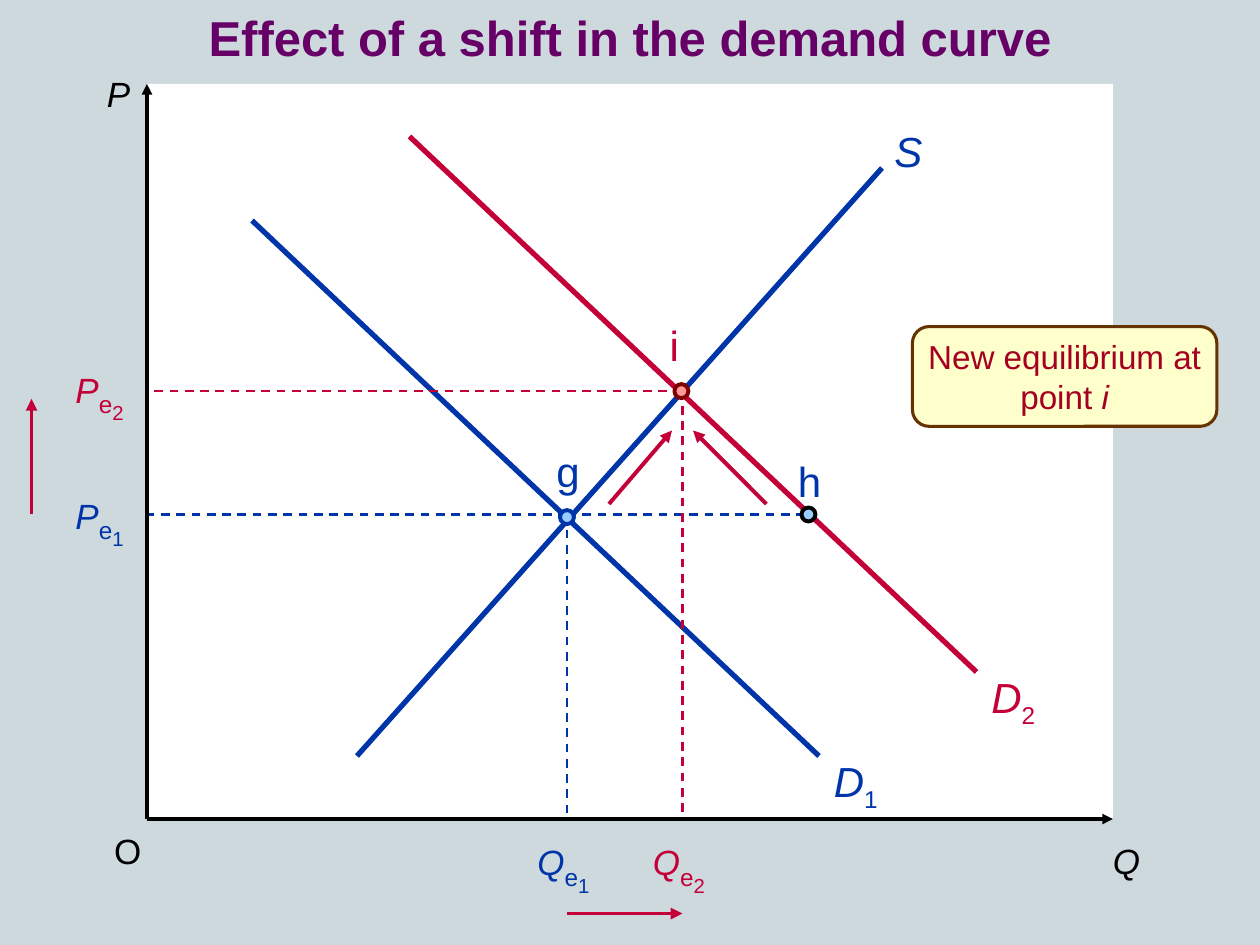
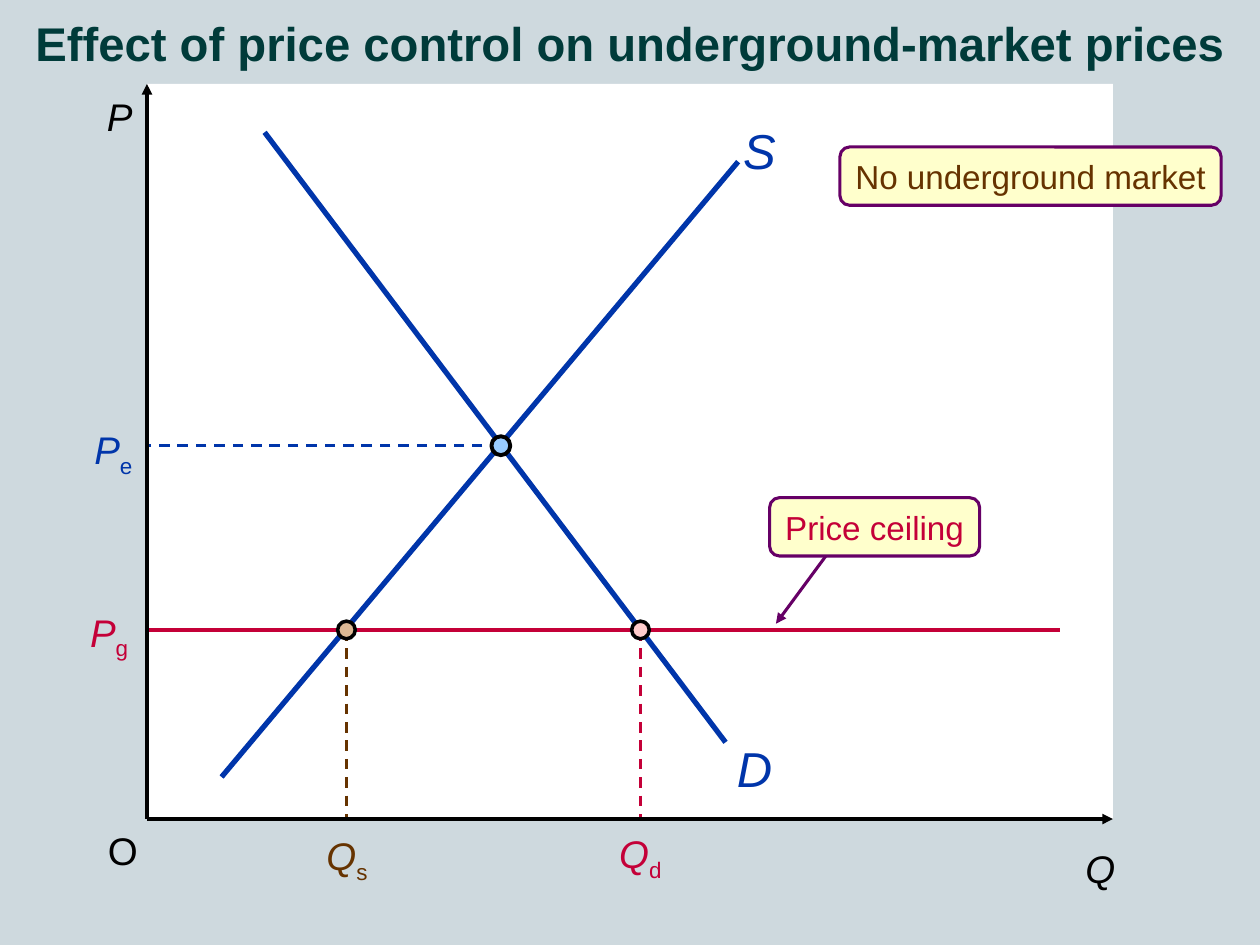
from dataclasses import dataclass

from lxml import etree
from pptx import Presentation
from pptx.dml.color import RGBColor
from pptx.enum.dml import MSO_LINE
from pptx.enum.shapes import MSO_CONNECTOR, MSO_SHAPE
from pptx.enum.text import MSO_ANCHOR, PP_ALIGN
from pptx.oxml.ns import qn
from pptx.util import Inches, Pt

STRAIGHT = MSO_CONNECTOR.STRAIGHT
RECTANGLE, OVAL = MSO_SHAPE.RECTANGLE, MSO_SHAPE.OVAL
ROUNDED, ALTERNATE = MSO_SHAPE.ROUNDED_RECTANGLE, MSO_SHAPE.FLOWCHART_ALTERNATE_PROCESS
DASH = MSO_LINE.DASH
CENTER, LEFT = PP_ALIGN.CENTER, PP_ALIGN.LEFT
TOP, MIDDLE = MSO_ANCHOR.TOP, MSO_ANCHOR.MIDDLE

WIDTH, HEIGHT = Inches(10), Inches(7.5)
COLUMNS, ROWS = 120, 90
FONT = "Arial"
AXIS_LEFT, AXIS_RIGHT, AXIS_TOP, AXIS_BOTTOM = 14, 106, 8, 78
TITLE_ONLY = 5

COLORS = {
    "background": "CED9DE",
    "plot": "FFFFFF",
    "black": "000000",
    "blue": "0035AA",
    "red": "C40038",
    "brown": "663300",
    "purple": "660066",
    "teal": "003B3A",
    "crimson": "A50021",
    "maroon": "800000",
    "cream": "FFFFCC",
    "sky": "99CCFF",
    "salmon": "FF9999",
    "pink": "FFCCCC",
    "tan": "DCB894",
}


@dataclass(frozen=True)
class Line:
    start: tuple[float, float]
    end: tuple[float, float]
    color: str
    width: float = 3
    dashed: bool = False
    arrow: bool = False


@dataclass(frozen=True)
class Label:
    symbols: tuple[str, ...]
    area: tuple[float, float, float, float]
    color: str
    sizes: tuple[float, ...]
    italic: bool = True
    wrap: bool = False
    align: PP_ALIGN = LEFT


@dataclass(frozen=True)
class Dot:
    center: tuple[float, float]
    diameter: float
    fill: str
    outline: str
    width: float = 2.25


@dataclass(frozen=True)
class Callout:
    text: str
    area: tuple[float, float, float, float]
    outline: str
    color: str
    emphasis: str = ""
    shape: MSO_SHAPE = ROUNDED
    insets: tuple[float, float] = (0.1, 0.05)
    wrap: bool = False


@dataclass(frozen=True)
class Diagram:
    title: str
    title_area: tuple[float, float, float, float]
    title_color: str
    title_size: float
    lines: list[Line]
    labels: list[Label]
    dots: list[Dot]
    callouts: list[Callout]


def rgb(name: str) -> RGBColor:
    return RGBColor.from_string(COLORS[name])


def across(columns: float) -> int:
    return round(WIDTH * columns / COLUMNS)


def down(rows: float) -> int:
    return round(HEIGHT * rows / ROWS)


def place(area: tuple[float, float, float, float]) -> tuple[int, int, int, int]:
    left, top, width, height = area
    return across(left), down(top), across(width), down(height)


def apply(target, values: dict) -> None:
    for name, value in values.items():
        setattr(target, name, value)


def set_frame(frame, wrap: bool, anchor, insets: tuple[float, float] = (0.1, 0.05)) -> None:
    side, edge = map(Inches, insets)
    apply(frame, {
        "word_wrap": wrap, "vertical_anchor": anchor,
        "margin_left": side, "margin_right": side,
        "margin_top": edge, "margin_bottom": edge,
    })


def add_span(para, text: str, size: float, color: str, bold: bool = False,
             italic: bool = False, baseline: int = 0):
    span = para.add_run()
    span.text = text
    apply(span.font, {"name": FONT, "size": Pt(size), "bold": bold, "italic": italic})
    span.font.color.rgb = rgb(color)
    properties = span._r.get_or_add_rPr()
    if baseline:
        properties.set("baseline", str(baseline * 1000))
    return properties


def add_line(page, line: Line) -> None:
    connector = page.shapes.add_connector(
        STRAIGHT, across(line.start[0]), down(line.start[1]),
        across(line.end[0]), down(line.end[1]))
    connector.line.color.rgb = rgb(line.color)
    connector.line.width = Pt(line.width)
    if line.dashed:
        connector.line.dash_style = DASH
    if line.arrow:
        etree.SubElement(connector.get_or_add_ln(), qn("a:tailEnd"), type="triangle")
    etree.SubElement(connector._element.spPr, qn("a:effectLst"))


def add_figure(page, kind, area: tuple[float, float, float, float], fill: str,
               outline: str = "", width: float = 0):
    figure = page.shapes.add_shape(kind, *place(area))
    figure.shadow.inherit = False
    figure.fill.solid()
    figure.fill.fore_color.rgb = rgb(fill)
    if outline:
        figure.line.color.rgb = rgb(outline)
        figure.line.width = Pt(width)
    else:
        figure.line.fill.background()
    return figure


def add_dot(page, dot: Dot) -> None:
    column, row = dot.center
    radius = dot.diameter / 2
    area = (column - radius, row - radius, dot.diameter, dot.diameter)
    add_figure(page, OVAL, area, dot.fill, dot.outline, dot.width)


def add_label(page, label: Label) -> None:
    box = page.shapes.add_textbox(*place(label.area))
    set_frame(box.text_frame, label.wrap, TOP)
    para = box.text_frame.paragraphs[0]
    para.alignment = label.align
    for level, (text, size) in enumerate(zip(label.symbols, label.sizes)):
        add_span(para, text, size, label.color,
                 italic=label.italic and level == 0, baseline=-25 * level)


def add_callout(page, callout: Callout) -> None:
    box = add_figure(page, callout.shape, callout.area, "cream", callout.outline, 1.75)
    set_frame(box.text_frame, callout.wrap, MIDDLE, callout.insets)
    para = box.text_frame.paragraphs[0]
    para.alignment = CENTER
    add_span(para, callout.text, 19, callout.color)
    if callout.emphasis:
        add_span(para, callout.emphasis, 19, callout.color, italic=True)


def add_title(page, diagram: Diagram) -> None:
    title = page.shapes.title
    left, top, width, height = place(diagram.title_area)
    apply(title, {"left": left, "top": top, "width": width, "height": height})
    set_frame(title.text_frame, True, TOP)
    para = title.text_frame.paragraphs[0]
    para.alignment = CENTER
    properties = add_span(para, diagram.title, diagram.title_size, diagram.title_color, bold=True)
    effects = etree.Element(qn("a:effectLst"))
    shadow = etree.SubElement(effects, qn("a:outerShdw"), dist="35921", dir="2700000")
    etree.SubElement(shadow, qn("a:srgbClr"), val=COLORS["black"])
    properties.find(qn("a:solidFill")).addnext(effects)


def add_diagram(deck, diagram: Diagram) -> None:
    page = deck.slides.add_slide(deck.slide_layouts[TITLE_ONLY])
    add_title(page, diagram)
    plot = (AXIS_LEFT, AXIS_TOP, AXIS_RIGHT - AXIS_LEFT, AXIS_BOTTOM - AXIS_TOP)
    add_figure(page, RECTANGLE, plot, "plot")
    origin = (AXIS_LEFT, AXIS_BOTTOM)
    axes = [Line(origin, end, "black", 2, arrow=True)
            for end in ((AXIS_RIGHT, AXIS_BOTTOM), (AXIS_LEFT, AXIS_TOP))]
    for draw, items in (
        (add_line, diagram.lines + axes),
        (add_label, diagram.labels),
        (add_dot, diagram.dots),
        (add_callout, diagram.callouts),
    ):
        for item in items:
            draw(page, item)


def level_label(letter: str, number: str, left: float, top: float, color: str) -> Label:
    return Label((letter, "e", number), (left, top, 9, 7.3), color, (20, 24, 20), wrap=True)


def demand_shift() -> Diagram:
    old, new, surplus = (54, 49), (65, 37.2), (77, 49)
    guides = [
        Line(start, end, color, 1.25, dashed=True)
        for start, end, color in (
            (old, (AXIS_LEFT, old[1]), "blue"),
            (old, (old[0], AXIS_BOTTOM), "blue"),
            (old, surplus, "blue"),
            (new, (new[0], AXIS_BOTTOM), "red"),
            (new, (AXIS_LEFT, new[1]), "red"),
        )
    ]
    arrows = [
        Line(start, end, "red", 2.25, arrow=True)
        for start, end in (((3, 49), (3, 38)), ((54, 87), (65, 87)),
                           ((58, 48), (64, 41)), ((73, 48), (66, 41)))
    ]
    curves = [
        Line((34, 72), (84, 16), "blue"),
        Line((24, 21), (78, 72), "blue"),
        Line((39, 13), (93, 64), "red"),
    ]
    labels = [
        Label(("P",), (9, 6.36, 4.44, 5.2), "black", (20,), wrap=True),
        Label(("Q",), (104.8, 79.4, 5, 5.2), "black", (20,)),
        Label(("O",), (9.7, 78.4, 5, 5.2), "black", (20,), italic=False),
        level_label("P", "1", 6, 45.8, "blue"),
        level_label("Q", "1", 50, 78.8, "blue"),
        level_label("P", "2", 6, 33.8, "red"),
        level_label("Q", "2", 61, 78.8, "red"),
        Label(("S",), (84, 11.4, 5, 6), "blue", (24,), align=CENTER),
        Label(("D", "1"), (78.2, 71.4, 6.6, 6.7), "blue", (24, 24), align=CENTER),
        Label(("D", "2"), (93.2, 63.4, 6.6, 6.7), "red", (24, 24), align=CENTER),
        Label(("g",), (51.8, 41.8, 4.7, 6), "blue", (24,), italic=False),
        Label(("h",), (74.8, 42.8, 4.7, 6), "blue", (24,), italic=False),
        Label(("i",), (62.6, 29.8, 3.4, 6), "red", (24,), italic=False),
    ]
    dots = [
        Dot(surplus, 1.33, "sky", "black"),
        Dot((54, 49.25), 1.33, "sky", "blue"),
        Dot((64.9, 37.25), 1.33, "salmon", "maroon"),
    ]
    callout = Callout("New equilibrium at point ", (86.9, 31.1, 29, 9.5), "brown",
                      "crimson", "i", ALTERNATE, (0.06, 0.04), True)
    return Diagram("Effect of a shift in the demand curve", (0, 0.12, COLUMNS, 6.84),
                   "purple", 28, curves + guides + arrows, labels, dots, [callout])


def price_control() -> Diagram:
    balance, supplied, demanded = (47.7, 42.45), (33, 60), (61, 60)
    lines = [
        Line((25.2, 12.6), (69.1, 70.7), "blue"),
        Line((21.1, 74), (70.3, 15.4), "blue"),
        Line((AXIS_LEFT, 60), (101, 60), "red", 2.25),
        Line(balance, (AXIS_LEFT, balance[1]), "blue", 1.5, dashed=True),
        Line(supplied, (supplied[0], AXIS_BOTTOM), "brown", 1.5, dashed=True),
        Line(demanded, (demanded[0], AXIS_BOTTOM), "red", 1.5, dashed=True),
        Line((79.8, 51.4), (73.9, 59.4), "purple", 1.75, arrow=True),
    ]
    labels = [
        Label(("P",), (9, 8.3, 6.5, 5.6), "black", (22,), wrap=True),
        Label(("Q",), (102.2, 79.9, 6.6, 5.6), "black", (22,), wrap=True),
        Label(("O",), (9.1, 78.2, 5.3, 5.6), "black", (22,), italic=False),
        Label(("P", "g"), (7.4, 57.4, 6, 6.2), "red", (22, 22)),
        Label(("P", "e"), (7.8, 40, 6, 6.2), "blue", (22, 22)),
        Label(("Q", "s"), (29.9, 78.7, 6.4, 6.2), "brown", (22, 22)),
        Label(("Q", "d"), (57.8, 78.5, 6.5, 6.2), "red", (22, 22)),
        Label(("D",), (69, 69.7, 5.8, 6.8), "blue", (28,)),
        Label(("S",), (69.6, 10.9, 5.5, 6.8), "blue", (28,)),
    ]
    dots = [
        Dot(demanded, 1.68, "pink", "black", 2),
        Dot(balance, 1.8, "sky", "black"),
        Dot(supplied, 1.68, "tan", "black", 2),
    ]
    callouts = [
        Callout("Price ceiling", (73.3, 47.4, 20, 5.55), "purple", "red"),
        Callout("No underground market", (80, 14, 36.3, 5.55), "purple", "brown"),
    ]
    return Diagram("Effect of price control on underground-market prices",
                   (0, 0.72, COLUMNS, 6.6), "teal", 27, lines, labels, dots, callouts)


def main() -> None:
    deck = Presentation()
    apply(deck, {"slide_width": WIDTH, "slide_height": HEIGHT})
    backdrop = deck.slide_master.background.fill
    backdrop.solid()
    backdrop.fore_color.rgb = rgb("background")
    for diagram in (demand_shift(), price_control()):
        add_diagram(deck, diagram)
    deck.save("out.pptx")


if __name__ == "__main__":
    main()
